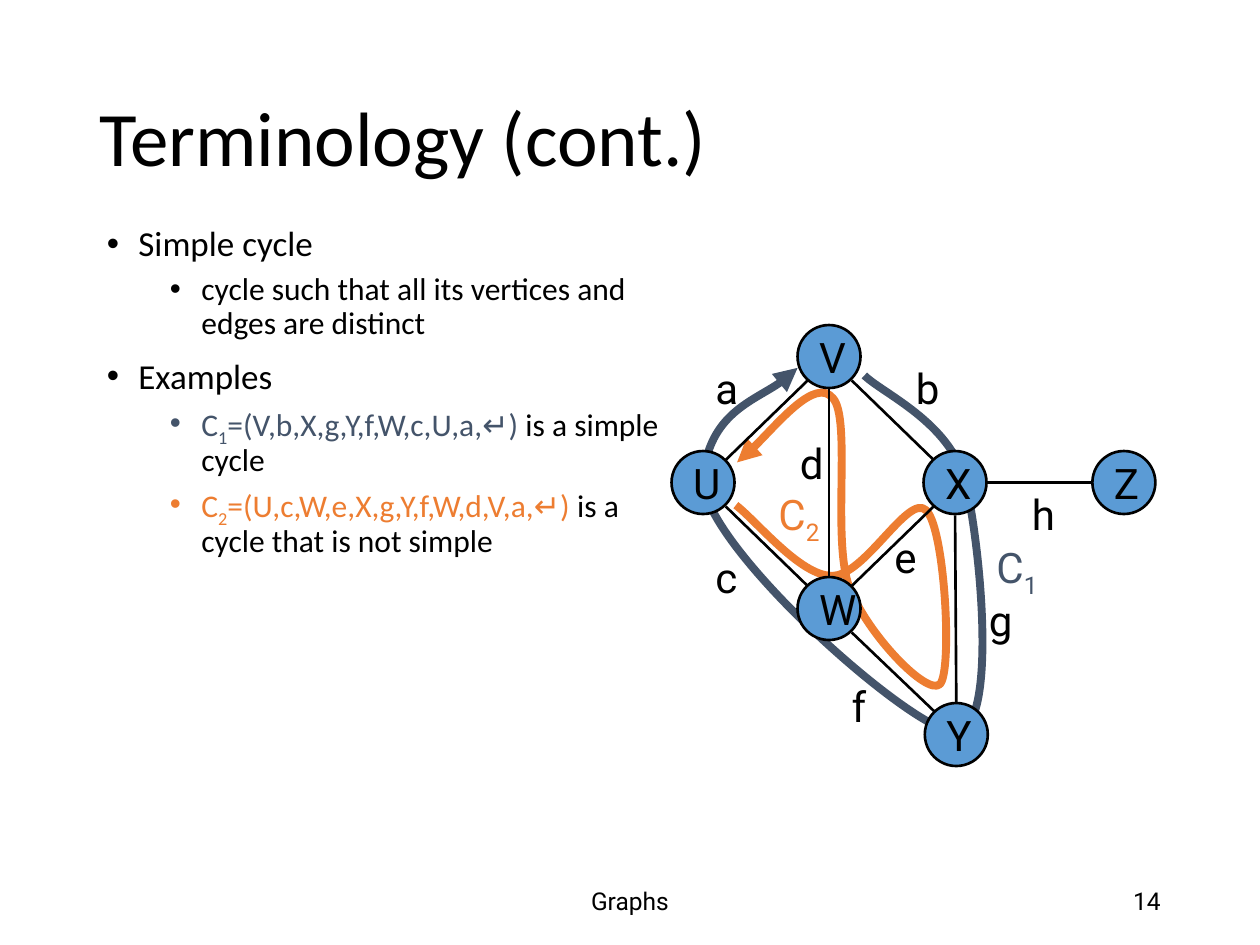
"""Slide on simple cycles: bulleted terms beside a graph with two cycles traced."""
import dataclasses
import typing

import lxml.etree
import pptx
import pptx.dml.color
import pptx.enum.shapes
import pptx.enum.text
import pptx.oxml
import pptx.oxml.ns
import pptx.util

PX = 9144
BLACK, BLUE, SLATE, ORANGE = "000000", "5B9BD5", "44546A", "ED7D31"
SIDE = 50
ALIGN = pptx.enum.text.PP_ALIGN
MIDDLE = pptx.enum.text.MSO_ANCHOR.MIDDLE
qn = pptx.oxml.ns.qn


class Run(typing.NamedTuple):
    text: str
    color: str = BLACK
    sub: bool = False


class Item(typing.NamedTuple):
    level: int
    runs: list[Run]


class Node(typing.NamedTuple):
    name: str
    x: int
    y: int


class Edge(typing.NamedTuple):
    x1: int
    y1: int
    x2: int
    y2: int


@dataclasses.dataclass
class Label:
    runs: list[Run]
    x: int
    y: int
    w: int


@dataclasses.dataclass
class Cycle:
    color: str
    end: str
    points: list[tuple[int, int]]


def named(base: str, num: str, color: str) -> list[Run]:
    return [Run(base, color), Run(num, color, True)]


ITEMS = [
    Item(0, [Run("Simple cycle")]),
    Item(1, [Run("cycle such that all its vertices and edges are distinct")]),
    Item(0, [Run("Examples")]),
    Item(1, [*named("C", "1", SLATE), Run("=(V,b,X,g,Y,f,W,c,U,a,↵)", SLATE),
             Run(" is a simple cycle")]),
    Item(1, [*named("C", "2", ORANGE), Run("=(U,c,W,e,X,g,Y,f,W,d,V,a,↵)", ORANGE),
             Run(" is a cycle that is not simple")]),
]
CYCLES = [
    Cycle(SLATE, "tailEnd", [
        (686, 298), (700, 312), (754, 335), (766, 382), (778, 430), (793, 582), (758, 581),
        (724, 581), (554, 430), (558, 379), (563, 328), (618, 310), (633, 292)]),
    Cycle(ORANGE, "headEnd", [
        (585, 367), (598, 358), (647, 299), (661, 316), (676, 332), (660, 428), (674, 466),
        (688, 503), (736, 553), (746, 543), (756, 533), (750, 419), (735, 405),
        (721, 391), (686, 458), (660, 457), (635, 457), (600, 413), (584, 401)]),
]
NODES = [Node("X", 733, 358), Node("U", 533, 358), Node("V", 633, 258),
         Node("W", 633, 458), Node("Z", 867, 358), Node("Y", 734, 558)]
EDGES = [Edge(641, 302, 576, 365), Edge(641, 465, 576, 402), Edge(676, 465, 741, 402),
         Edge(784, 383, 866, 383), Edge(676, 302, 741, 365), Edge(658, 309, 658, 457),
         Edge(676, 502, 742, 565), Edge(758, 409, 759, 557)]
LABELS = [
    Label(named("C", "1", SLATE), 781, 425, 65),
    Label([Run("a")], 558, 283, 38), Label([Run("c")], 558, 433, 36),
    Label([Run("b")], 717, 283, 39), Label([Run("e")], 700, 417, 38),
    Label([Run("d")], 625, 342, 39), Label([Run("f")], 666, 535, 31),
    Label([Run("g")], 775, 467, 39), Label([Run("h")], 809, 383, 39),
    Label(named("C", "2", ORANGE), 608, 383, 65),
]


def px(*values: int) -> list[int]:
    return [value * PX for value in values]


def rgb(color: str) -> pptx.dml.color.RGBColor:
    return pptx.dml.color.RGBColor.from_string(color)


def stroke(line, color: str, width: float) -> None:
    line.color.rgb = rgb(color)
    line.width = pptx.util.Pt(width)


def write(para, runs: list[Run], size: int, face: str) -> None:
    para.font.size, para.font.name = pptx.util.Pt(size), face
    for part in runs:
        run = para.add_run()
        run.text = part.text
        run.font.color.rgb = rgb(part.color)
        if part.sub:
            run._r.get_or_add_rPr().set("baseline", "-25000")


def add_box(slide, x: int, y: int, w: int, h: int, wrap: bool = True):
    frame = slide.shapes.add_textbox(*px(x, y, w, h)).text_frame
    frame.word_wrap = wrap
    return frame


def add_line(slide, x: int, y: int, w: int, h: int, text: str, size: int, face: str, align) -> None:
    frame = add_box(slide, x, y, w, h)
    frame.vertical_anchor = MIDDLE
    para = frame.paragraphs[0]
    para.alignment, para.line_spacing = align, 0.9 if size > 40 else 1.0
    write(para, [Run(text)], size, face)


def add_list(slide, items: list[Item]) -> None:
    frame = add_box(slide, 75, 175, 458, 483)
    for i, item in enumerate(items):
        para = frame.add_paragraph() if i else frame.paragraphs[0]
        para.level, para.line_spacing = item.level, 0.9
        para.space_before = pptx.util.Pt(5 if item.level else 10)
        write(para, item.runs, 18 if item.level else 20, "Calibri")
        props = para._p.get_or_add_pPr()
        props.set("marL", str((25 + 50 * item.level) * PX))
        props.set("indent", str(-25 * PX))
        last = props.find(qn("a:defRPr"))
        last.addprevious(lxml.etree.Element(qn("a:buFont"), typeface="Arial"))
        last.addprevious(lxml.etree.Element(qn("a:buChar"), char="•"))


def add_cycle(slide, cycle: Cycle) -> None:
    start, *rest = cycle.points
    form = slide.shapes.build_freeform(*start, scale=PX)
    form.add_line_segments(rest, close=False)
    shape = form.convert_to_shape()
    shape.shadow.inherit = False
    shape.fill.background()
    stroke(shape.line, cycle.color, 4.5)
    lxml.etree.SubElement(shape.line._get_or_add_ln(), qn("a:" + cycle.end), type="triangle")
    track = shape._element.spPr.find(".//" + qn("a:path"))
    steps = track.findall(qn("a:lnTo"))
    for i in range(0, len(steps), 3):
        curve = lxml.etree.SubElement(track, qn("a:cubicBezTo"))
        for step in steps[i:i + 3]:
            curve.append(step[0])
            track.remove(step)


def add_node(slide, node: Node) -> None:
    kind = pptx.enum.shapes.MSO_SHAPE.OVAL
    shape = slide.shapes.add_shape(kind, *px(node.x, node.y, SIDE, SIDE))
    shape.shadow.inherit = False
    shape.fill.solid()
    shape.fill.fore_color.rgb = rgb(BLUE)
    stroke(shape.line, BLACK, 1.5)
    frame = shape.text_frame
    frame.word_wrap, frame.vertical_anchor = False, MIDDLE
    frame.paragraphs[0].alignment = ALIGN.LEFT
    write(frame.paragraphs[0], [Run(node.name)], 24, "Roboto")


def add_edge(slide, edge: Edge) -> None:
    link = slide.shapes.add_connector(pptx.enum.shapes.MSO_CONNECTOR.STRAIGHT, *px(*edge))
    stroke(link.line, BLACK, 1.5)
    lxml.etree.SubElement(link._element.spPr, qn("a:effectLst"))


def add_label(slide, label: Label) -> None:
    frame = add_box(slide, label.x, label.y, label.w, SIDE, wrap=len(label.runs) > 1)
    frame.auto_size = pptx.enum.text.MSO_AUTO_SIZE.SHAPE_TO_FIT_TEXT
    write(frame.paragraphs[0], label.runs, 24, "Roboto")


def main() -> None:
    deck = pptx.Presentation()
    deck.slide_width, deck.slide_height = px(1000, 750)
    slide = deck.slides.add_slide(deck.slide_layouts[6])
    add_line(slide, 331, 695, 338, 40, "Graphs", 14, "Roboto", ALIGN.CENTER)
    add_line(slide, 706, 695, 225, 40, "14", 14, "Roboto", ALIGN.RIGHT)
    add_line(slide, 69, 40, 862, 145, "Terminology (cont.)", 44, "Calibri", ALIGN.LEFT)
    add_list(slide, ITEMS)
    for draw, parts in ((add_cycle, CYCLES), (add_node, NODES),
                        (add_edge, EDGES), (add_label, LABELS)):
        for part in parts:
            draw(slide, part)
    deck.save("out.pptx")


if __name__ == "__main__":
    main()
